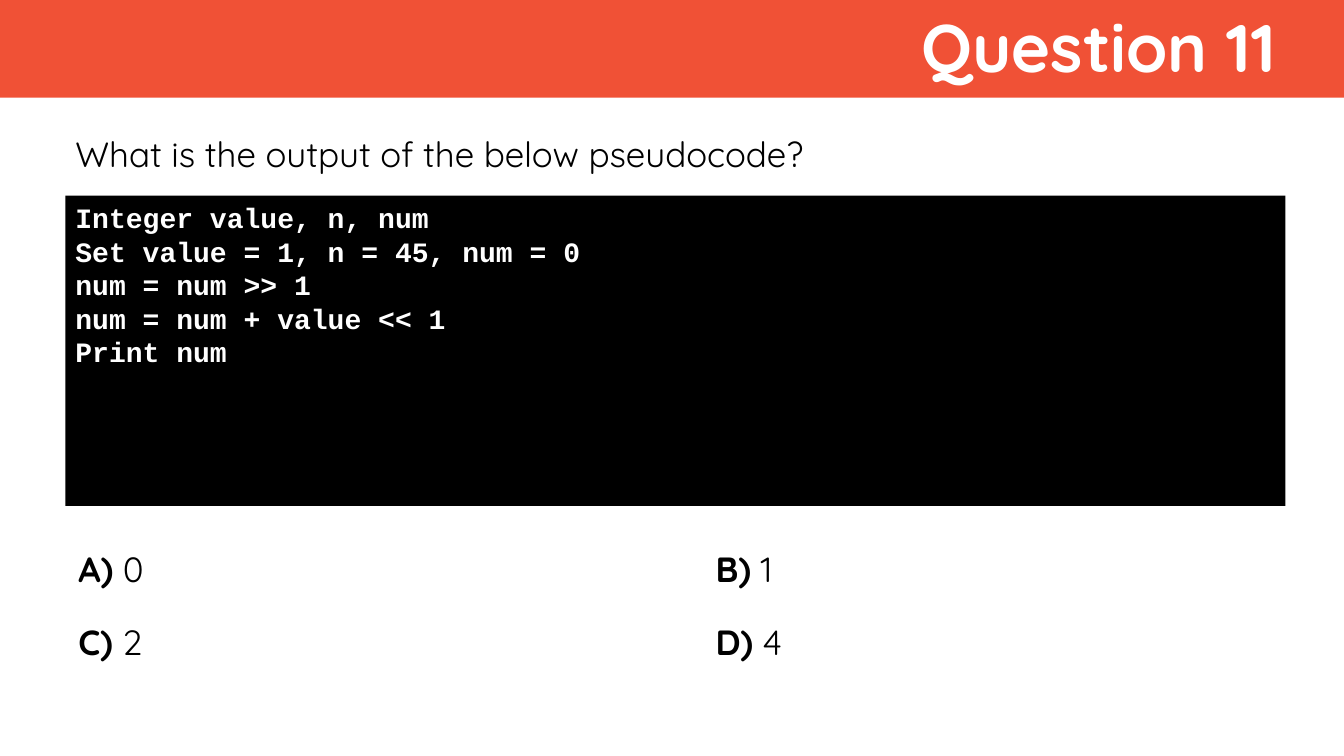
from pptx import Presentation
from pptx.dml.color import RGBColor
from pptx.enum.shapes import MSO_SHAPE
from pptx.enum.text import MSO_ANCHOR, PP_ALIGN
from pptx.util import Inches, Pt

RECT = MSO_SHAPE.RECTANGLE
TOP = MSO_ANCHOR.TOP
LEFT, RIGHT = PP_ALIGN.LEFT, PP_ALIGN.RIGHT

ORANGE = RGBColor(0xF0, 0x51, 0x36)
BLACK = RGBColor(0, 0, 0)
WHITE = RGBColor(0xFF, 0xFF, 0xFF)

SLIDE_W, SLIDE_H = 13.33, 7.5
MARGIN = 0.65
BODY_FONT, CODE_FONT = "Quicksand", "Courier New"
CODE = [
    "Integer value, n, num",
    "Set value = 1, n = 45, num = 0",
    "num = num >> 1",
    "num = num + value << 1",
    "Print num",
]
ANSWERS = ["0", "1", "2", "4"]
ANSWER_COLUMNS = [0.68, 7]
ANSWER_TOP, ANSWER_W, ANSWER_H = 5.17, 5.72, 0.73


def add_run(p, text, font, size, color, bold=False):
    r = p.add_run()
    r.text = text
    r.font.name = font
    r.font.size = Pt(size)
    r.font.color.rgb = color
    r.font.bold = bold


def add_box(s, x, y, w, h, fill):
    sp = s.shapes.add_shape(RECT, Inches(x), Inches(y), Inches(w), Inches(h))
    sp.shadow.inherit = False
    sp.fill.solid()
    sp.fill.fore_color.rgb = fill
    sp.line.fill.background()
    return sp


def add_text(s, x, y, w, h):
    """Add an empty wrapping text box and return its first paragraph."""
    tf = s.shapes.add_textbox(Inches(x), Inches(y), Inches(w), Inches(h)).text_frame
    tf.word_wrap = True
    return tf.paragraphs[0]


def add_header(s, title):
    add_box(s, 0, 0, SLIDE_W, 0.97, ORANGE)
    p = add_text(s, 4.25, 0, 8.5, 0.91)
    p.alignment = RIGHT
    add_run(p, title, BODY_FONT, 48, WHITE, bold=True)


def add_code(s, lines):
    tf = add_box(s, MARGIN, 1.94, 12.1, 3.08, BLACK).text_frame
    tf.word_wrap = True
    tf.vertical_anchor = TOP
    tf.margin_bottom = Inches(1)
    for i, line in enumerate(lines):
        p = tf.add_paragraph() if i else tf.paragraphs[0]
        p.alignment = LEFT
        add_run(p, line, CODE_FONT, 20, WHITE, bold=True)


def add_answers(s, answers):
    for i, answer in enumerate(answers):
        row, col = divmod(i, len(ANSWER_COLUMNS))
        p = add_text(s, ANSWER_COLUMNS[col], ANSWER_TOP + row * ANSWER_H, ANSWER_W, ANSWER_H)
        p.line_spacing = 1.5
        add_run(p, "ABCD"[i] + ")", BODY_FONT, 25, BLACK, bold=True)
        add_run(p, " " + answer, BODY_FONT, 25, BLACK)


def main():
    prs = Presentation()
    prs.slide_width, prs.slide_height = Inches(SLIDE_W), Inches(SLIDE_H)
    s = prs.slides.add_slide(prs.slide_layouts[6])
    add_header(s, "Question 11")
    question = add_text(s, MARGIN, 1.27, 11.98, 0.52)
    add_run(question, "What is the output of the below pseudocode?", BODY_FONT, 25, BLACK)
    add_code(s, CODE)
    add_answers(s, ANSWERS)
    prs.save("out.pptx")


if __name__ == "__main__":
    main()
